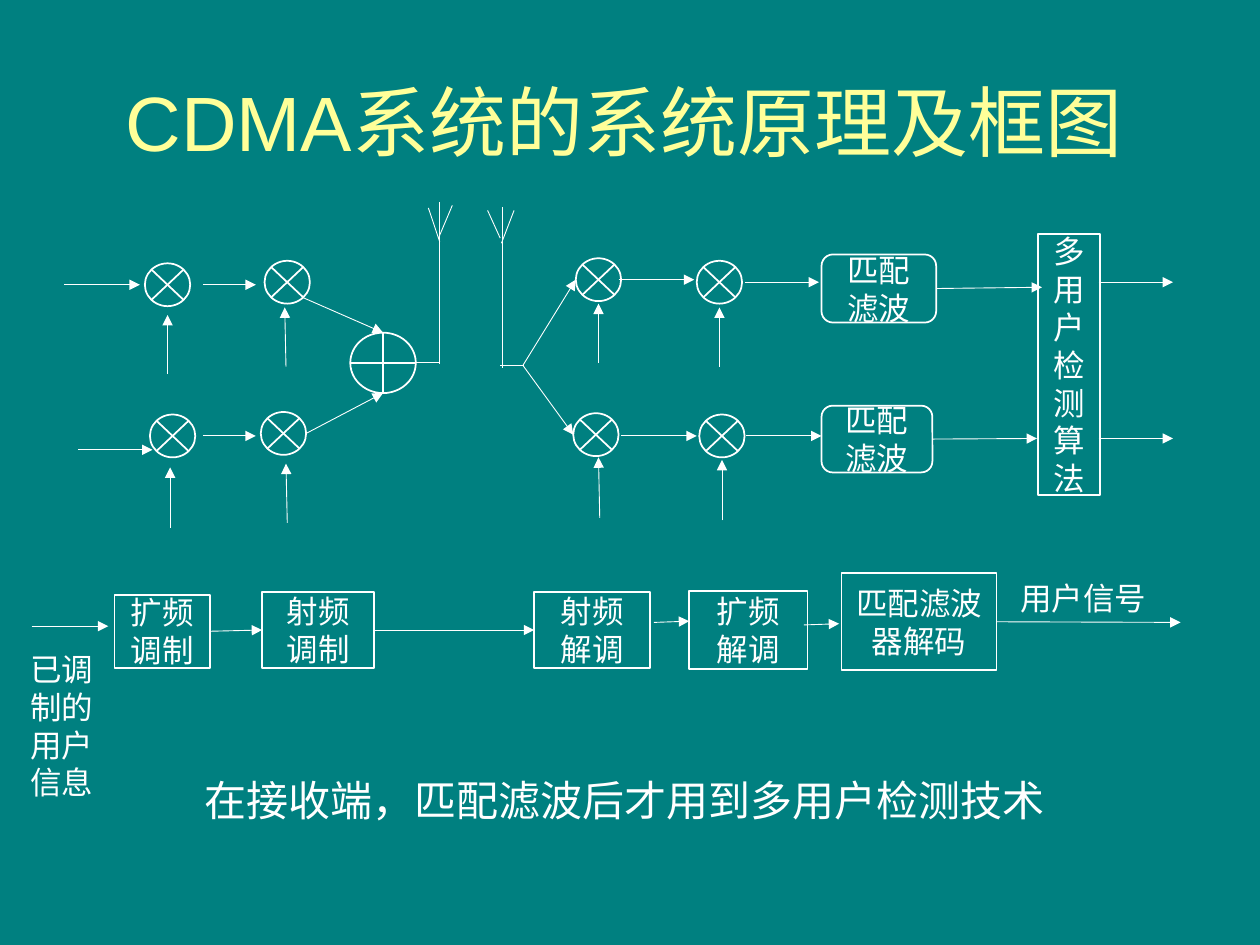
from lxml.etree import SubElement
from pptx import Presentation
from pptx.dml.color import RGBColor
from pptx.enum.shapes import MSO_CONNECTOR, MSO_SHAPE
from pptx.enum.text import MSO_ANCHOR, MSO_AUTO_SIZE, PP_ALIGN
from pptx.oxml.ns import qn
from pptx.util import Cm, Pt

COLORS = {"background": "008080", "white": "FFFFFF", "title": "FFFF99"}
CM_PER_INCH = 2.54
RIGHT, LEFT = 3, 1
MIXER_SIZE = (0.36, 0.34)

MIXERS = [
    (1.15, 2.09), (2.1, 2.07), (4.57, 2.05), (5.53, 2.07),
    (1.19, 3.29), (2.07, 3.27), (4.55, 3.28), (5.55, 3.29),
]
# x of the lower end, y of the lower end, x and y of the arrow tip
CARRIER_ARROWS = [
    (1.33, 2.97, 1.33, 2.5), (2.27, 2.91, 2.26, 2.44),
    (4.75, 2.88, 4.75, 2.41), (5.71, 2.91, 5.71, 2.44),
    (1.35, 4.19, 1.35, 3.71), (2.28, 4.15, 2.27, 3.68),
    (4.76, 4.11, 4.75, 3.63), (5.73, 4.13, 5.73, 3.65),
]
SIGNAL_ARROWS = [
    (0.51, 2.26, 1.11, 2.26), (1.61, 2.26, 2.03, 2.26),
    (4.91, 2.22, 5.51, 2.22), (5.91, 2.24, 6.5, 2.24),
    (8.72, 2.24, 9.31, 2.24),
    (0.62, 3.57, 1.21, 3.57), (1.61, 3.46, 2.03, 3.46),
    (4.93, 3.46, 5.53, 3.46), (5.92, 3.46, 6.52, 3.46),
    (8.72, 3.48, 9.31, 3.48),
    (2.4, 2.36, 3.04, 2.64), (2.43, 3.44, 3.04, 3.12),
    (4.15, 2.9, 4.57, 2.22), (4.15, 2.9, 4.55, 3.45),
    (0.25, 4.97, 0.86, 4.97), (5.19, 4.94, 5.47, 4.93),
    (6.38, 4.96, 6.66, 4.95),
]
ANTENNA_LINES = [
    (3.3, 2.88, 3.49, 2.88), (3.49, 2.89, 3.49, 1.6),
    (3.49, 1.92, 3.4, 1.65), (3.48, 1.89, 3.59, 1.63),
    (3.97, 2.9, 4.16, 2.9), (3.99, 2.92, 3.99, 1.64),
    (3.97, 1.89, 3.87, 1.67), (3.98, 1.93, 4.08, 1.67),
]
BOXES = {
    "upper filter": ("匹配滤波", (6.52, 2.02, 0.91, 0.54)),
    "lower filter": ("匹配滤波", (6.52, 3.22, 0.88, 0.53)),
    "detector": ("多用户检测算法", (8.24, 1.86, 0.49, 2.07)),
    "spreading": ("扩频调制", (0.91, 4.72, 0.76, 0.58)),
    "radio modulation": ("射频调制", (2.08, 4.7, 0.89, 0.6)),
    "radio demodulation": ("射频解调", (4.24, 4.7, 0.92, 0.6)),
    "despreading": ("扩频解调", (5.47, 4.69, 0.94, 0.62)),
    "decoder": ("匹配滤波器解码", (6.68, 4.55, 1.23, 0.77)),
}
# start box, end box or None, and the two end points
BOX_ARROWS = [
    ("upper filter", None, (7.43, 2.29, 8.27, 2.28)),
    ("lower filter", None, (7.4, 3.49, 8.23, 3.48)),
    ("spreading", "radio modulation", (1.67, 5.01, 2.08, 5)),
    ("radio modulation", "radio demodulation", (2.97, 5, 4.24, 5)),
    ("decoder", None, (7.91, 4.94, 9.37, 4.94)),
]


def lengths(values):
    """Turn layout values in inches into slide lengths."""
    return [Cm(value * CM_PER_INCH) for value in values]


def color(name):
    return RGBColor.from_string(COLORS[name])


class DiagramBuilder:
    """Holds the diagram's style and the slide being drawn."""

    shape_line = Pt(1)
    arrow_line = Pt(0.5)
    box_font = {"name": "Arial", "size": Pt(18)}
    label_font = {"name": "Calibri", "size": Pt(18)}

    def __init__(self, slide):
        self.slide = slide
        fill = slide.background.fill
        fill.solid()
        fill.fore_color.rgb = color("background")

    def fill_text(self, shape, text, font_format, color_name="white",
                  alignment=PP_ALIGN.CENTER, **frame_format):
        frame = shape.text_frame
        frame_values = {"word_wrap": True, "vertical_anchor": MSO_ANCHOR.MIDDLE}
        for name, value in (frame_values | frame_format).items():
            setattr(frame, name, value)
        paragraph = frame.paragraphs[0]
        paragraph.alignment = alignment
        run = paragraph.add_run()
        run.text = text
        for name, value in font_format.items():
            setattr(run.font, name, value)
        run.font.color.rgb = color(color_name)

    def shape(self, kind, bounds):
        shape = self.slide.shapes.add_shape(kind, *lengths(bounds))
        shape.shadow.inherit = False
        shape.fill.background()
        shape.line.color.rgb = color("white")
        shape.line.width = self.shape_line
        return shape

    def box(self, text, bounds, kind=MSO_SHAPE.RECTANGLE):
        shape = self.shape(kind, bounds)
        self.fill_text(shape, text, self.box_font)
        return shape

    def text(self, text, bounds, font_format, **options):
        text_box = self.slide.shapes.add_textbox(*lengths(bounds))
        self.fill_text(text_box, text, font_format, **options)

    def line(self, points, arrow=False):
        connector = self.slide.shapes.add_connector(
            MSO_CONNECTOR.STRAIGHT, *lengths(points))
        connector.line.color.rgb = color("white")
        connector.line.width = self.arrow_line
        properties = connector._element.spPr
        if arrow:
            outline = properties.find(qn("a:ln"))
            SubElement(outline, qn("a:tailEnd"), type="triangle")
        SubElement(properties, qn("a:effectLst"))
        return connector


def draw_diagram(builder):
    for position in MIXERS:
        builder.shape(MSO_SHAPE.FLOWCHART_SUMMING_JUNCTION, position + MIXER_SIZE)
    builder.shape(MSO_SHAPE.FLOWCHART_OR, (2.78, 2.64, 0.52, 0.48))
    for points in ANTENNA_LINES:
        builder.line(points)
    for points in CARRIER_ARROWS + SIGNAL_ARROWS:
        builder.line(points, arrow=True)

    boxes = {}
    for name, (text, bounds) in BOXES.items():
        rounded = name.endswith("filter")
        kind = MSO_SHAPE.ROUNDED_RECTANGLE if rounded else MSO_SHAPE.RECTANGLE
        boxes[name] = builder.box(text, bounds, kind)
    for start, end, points in BOX_ARROWS:
        connector = builder.line(points, arrow=True)
        connector.begin_connect(boxes[start], RIGHT)
        if end:
            connector.end_connect(boxes[end], LEFT)


def draw_texts(builder):
    grow = {"auto_size": MSO_AUTO_SIZE.SHAPE_TO_FIT_TEXT}
    label = grow | {"alignment": PP_ALIGN.LEFT, "vertical_anchor": MSO_ANCHOR.TOP}
    builder.text("用户信号", (8, 4.55, 1.21, 0.4), builder.label_font,
                 word_wrap=False, **label)
    builder.text("已调制的用户信息", (0.14, 5.11, 0.84, 1.31),
                 builder.label_font, **label)
    builder.text("CDMA系统的系统原理及框图", (0.71, 0.31, 8.49, 1.3),
                 {"name": "Arial", "size": Pt(44)}, color_name="title")
    builder.text("在接收端，匹配滤波后才用到多用户检测技术", (0.98, 6.1, 7.95, 0.5),
                 {"name": "Arial", "size": Pt(24)},
                 margin_left=Cm(0.51), margin_right=Cm(0.51), **grow)


def main():
    presentation = Presentation()
    presentation.slide_width, presentation.slide_height = Cm(25.4), Cm(19.05)
    slide = presentation.slides.add_slide(presentation.slide_layouts[6])
    builder = DiagramBuilder(slide)
    draw_diagram(builder)
    draw_texts(builder)
    presentation.save("out.pptx")


if __name__ == "__main__":
    main()
